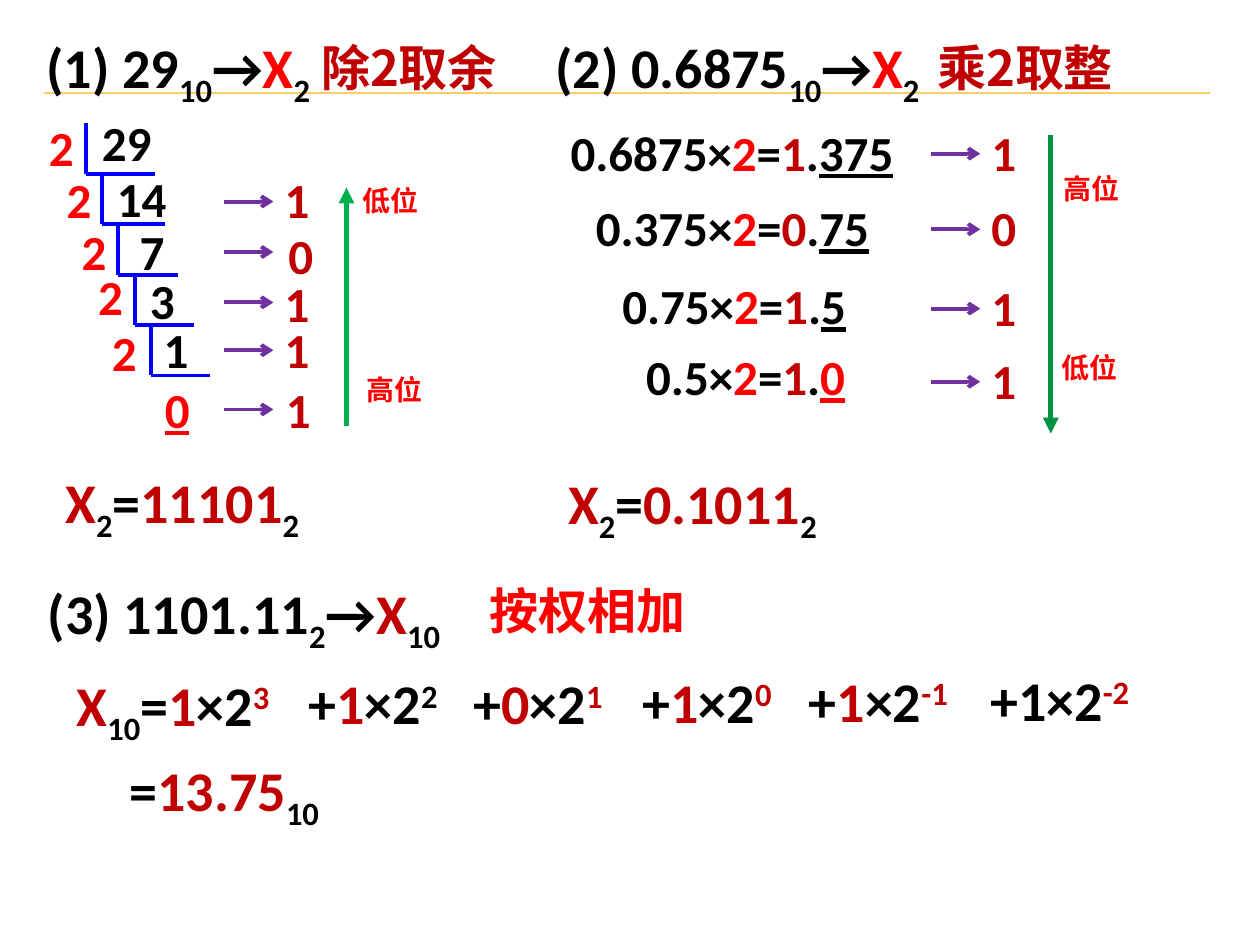
from lxml.etree import SubElement
from pptx import Presentation
from pptx.dml.color import RGBColor
from pptx.enum.shapes import MSO_CONNECTOR
from pptx.enum.text import MSO_AUTO_SIZE
from pptx.oxml.ns import qn
from pptx.util import Inches, Pt

BLACK, RED, DARK_RED = "000000", "FF0000", "C00000"
BLUE, PURPLE, GREEN, DEEP_GREEN, GOLD = "0000FF", "7030A0", "00B050", "009242", "FFCC66"
LATIN, CJK = "Calibri", "Noto Sans CJK SC"
SUB, SUP = -25000, 30000
HEIGHTS = {32: 0.71, 28: 0.57, 16: 0.37}


def rgb(color):
    return RGBColor.from_string(color)


def add_text(slide, x, y, w, text, size=28, color=BLACK, font=LATIN, underline=False, h=None):
    """Text is a string or a list of (text, color, baseline or underline flag) runs."""
    sp = slide.shapes.add_textbox(Inches(x), Inches(y), Inches(w), Inches(h or HEIGHTS[size]))
    tf = sp.text_frame
    tf.word_wrap = False
    tf.auto_size = MSO_AUTO_SIZE.SHAPE_TO_FIT_TEXT
    p = tf.paragraphs[0]
    runs = [(text, color, underline)] if isinstance(text, str) else text
    for content, run_color, *style in runs:
        r = p.add_run()
        r.text = content
        r.font.size = Pt(size)
        r.font.bold = True
        r.font.color.rgb = rgb(run_color)
        r.font.name = font
        rPr = r._r.get_or_add_rPr()
        SubElement(rPr, qn("a:ea")).set("typeface", CJK)
        if style and style[0] is True:
            r.font.underline = True
        elif style and style[0]:
            rPr.set("baseline", str(style[0]))


def add_line(slide, x1, y1, x2, y2, color, width=2.25, arrow=None):
    line = slide.shapes.add_connector(
        MSO_CONNECTOR.STRAIGHT, Inches(x1), Inches(y1), Inches(x2), Inches(y2))
    line.line.color.rgb = rgb(color)
    line.line.width = Pt(width)
    if arrow:
        SubElement(line.line._get_or_add_ln(), qn("a:tailEnd")).set("type", arrow)
    SubElement(line._element.spPr, qn("a:effectLst"))


def add_heading(slide, x, y, w, number, base, target, target_color, target_base):
    add_text(slide, x, y, w, [
        (number, BLACK), (base, BLACK, SUB), ("→", BLACK),
        (target, target_color), (target_base, BLACK, SUB)], size=32)


def add_result(slide, x, y, w, value):
    add_text(slide, x, y, w, [
        ("X", DARK_RED), ("2", BLACK, SUB), ("=", BLACK),
        (value, DARK_RED), ("2", BLACK, SUB)], size=32)


def add_digit(slide, x, arrow_y, digit, digit_x, digit_y):
    add_line(slide, x, arrow_y, x + 0.39, arrow_y, PURPLE, arrow="arrow")
    add_text(slide, digit_x, digit_y, 0.39, digit, color=DARK_RED)


def division(slide, x, y):
    add_heading(slide, x, y, 2.3, "(1) 29", "10", "X", RED, "2")
    add_text(slide, x + 2.18, y + 0.04, 1.78, "除2取余", color=DARK_RED, font=CJK)
    steps = [
        ("29", 0.44, 0.63, 0.59, 0.02, 0.67, 0.55),
        ("14", 0.56, 1.08, 0.59, 0.16, 1.09, 0.50),
        ("7", 0.74, 1.50, 0.39, 0.28, 1.50, 0.47),
        ("3", 0.82, 1.89, 0.39, 0.41, 1.86, 0.47),
        ("1", 0.93, 2.28, 0.39, 0.52, 2.30, 0.47),
    ]
    for i, (value, vx, vy, vw, dx, dy, length) in enumerate(steps):
        corner, base = x + 0.41 + 0.13 * i, y + 1.17 + 0.4 * i
        add_line(slide, corner, base - 0.4, corner, base, BLUE)
        add_line(slide, corner, base, corner + length, base, BLUE)
        add_text(slide, x + vx, y + vy, vw, value)
        add_text(slide, x + dx, y + dy, 0.39, "2", color=RED)
    add_text(slide, x + 0.94, y + 2.75, 0.39, "0", color=RED, underline=True)

    remainders = [("1", 1.39, 1.89, 1.09), ("0", 1.79, 1.92, 1.53), ("1", 2.19, 1.89, 1.91),
                  ("1", 2.57, 1.89, 2.28), ("1", 3.04, 1.90, 2.75)]
    for digit, arrow_y, digit_x, digit_y in remainders:
        add_digit(slide, x + 1.51, y + arrow_y, digit, x + digit_x, y + digit_y)
    add_line(slide, x + 2.48, y + 3.17, x + 2.48, y + 1.28, GREEN, 3, "triangle")
    add_text(slide, x + 2.54, y + 2.7, 0.64, "高位", size=16, color=RED)
    add_text(slide, x + 2.51, y + 1.2, 0.64, "低位", size=16, color=RED)
    add_result(slide, x + 0.15, y + 3.45, 2.09, "11101")


def multiplication(slide, x, y):
    add_heading(slide, x, y, 3.09, "(2) 0.6875", "10", "X", RED, "2")
    add_text(slide, x + 3.03, y + 0.04, 1.78, "乘2取整", color=DARK_RED, font=CJK)
    steps = [
        ("0.6875", "1", "375", BLACK, 0.12, 0.71, 2.77, 0.71),
        ("0.375", "0", "75", BLACK, 0.32, 1.31, 2.38, 1.31),
        ("0.75", "1", "5", BLACK, 0.53, 1.93, 2.01, 1.94),
        ("0.5", "1", "0", RED, 0.72, 2.49, 1.79, 2.52),
    ]
    for factor, whole, rest, rest_color, fx, fy, w, digit_y in steps:
        add_text(slide, x + fx, y + fy, w, [
            (factor + "×", BLACK), ("2", RED), ("=", BLACK),
            (whole, DARK_RED), (".", BLACK), (rest, rest_color, True)])
        add_digit(slide, x + 3.08, y + digit_y + 0.3, whole, x + 3.46, y + digit_y)
    add_line(slide, x + 4.03, y + 0.86, x + 4.03, y + 3.23, DEEP_GREEN, 3, "triangle")
    add_text(slide, x + 4.02, y + 2.52, 0.64, "低位", size=16, color=RED, font=CJK)
    add_text(slide, x + 4.03, y + 1.1, 0.64, "高位", size=16, color=RED, font=CJK)
    add_result(slide, x + 0.1, y + 3.46, 2.18, "0.1011")


def expansion(slide, x, y):
    add_heading(slide, x, y, 3.35, "(3) 1101.11", "2", "X", DARK_RED, "10")
    add_text(slide, x + 3.51, y + 0.02, 1.75, "按权相加", color=RED, font=CJK)
    add_text(slide, x + 0.23, y + 0.73, 1.74, [
        ("X", DARK_RED), ("10", BLACK, SUB), ("=", BLACK),
        ("1", DARK_RED), ("×2", BLACK), ("3", DARK_RED, SUP)], size=32)
    terms = [
        ("1", DARK_RED, "2", BLACK, 2.07, 0.72, 1.26),
        ("0", DARK_RED, "1", DARK_RED, 3.38, 0.72, 1.26),
        ("1", DARK_RED, "0", DARK_RED, 4.72, 0.71, 1.26),
        ("1", DARK_RED, "-1", DARK_RED, 6.04, 0.70, 1.31),
        ("1", BLACK, "-2", DARK_RED, 7.48, 0.69, 1.31),
    ]
    for digit, digit_color, power, power_color, tx, ty, w in terms:
        add_text(slide, x + tx, y + ty, w, [
            ("+", BLACK), (digit, digit_color), ("×2", BLACK),
            (power, power_color, SUP)], size=32, h=0.64)
    add_text(slide, x + 0.65, y + 1.41, 1.71, [
        ("=", BLACK), ("13.75", DARK_RED), ("10", BLACK, SUB)], size=32)


def main():
    prs = Presentation()
    prs.slide_width, prs.slide_height = Inches(10), Inches(7.5)
    slide = prs.slides.add_slide(prs.slide_layouts[6])
    add_line(slide, 0.35, 0.74, 9.6, 0.74, GOLD, 1)
    division(slide, 0.27, 0.21)
    multiplication(slide, 4.31, 0.21)
    expansion(slide, 0.28, 4.54)
    prs.save("out.pptx")


if __name__ == "__main__":
    main()
